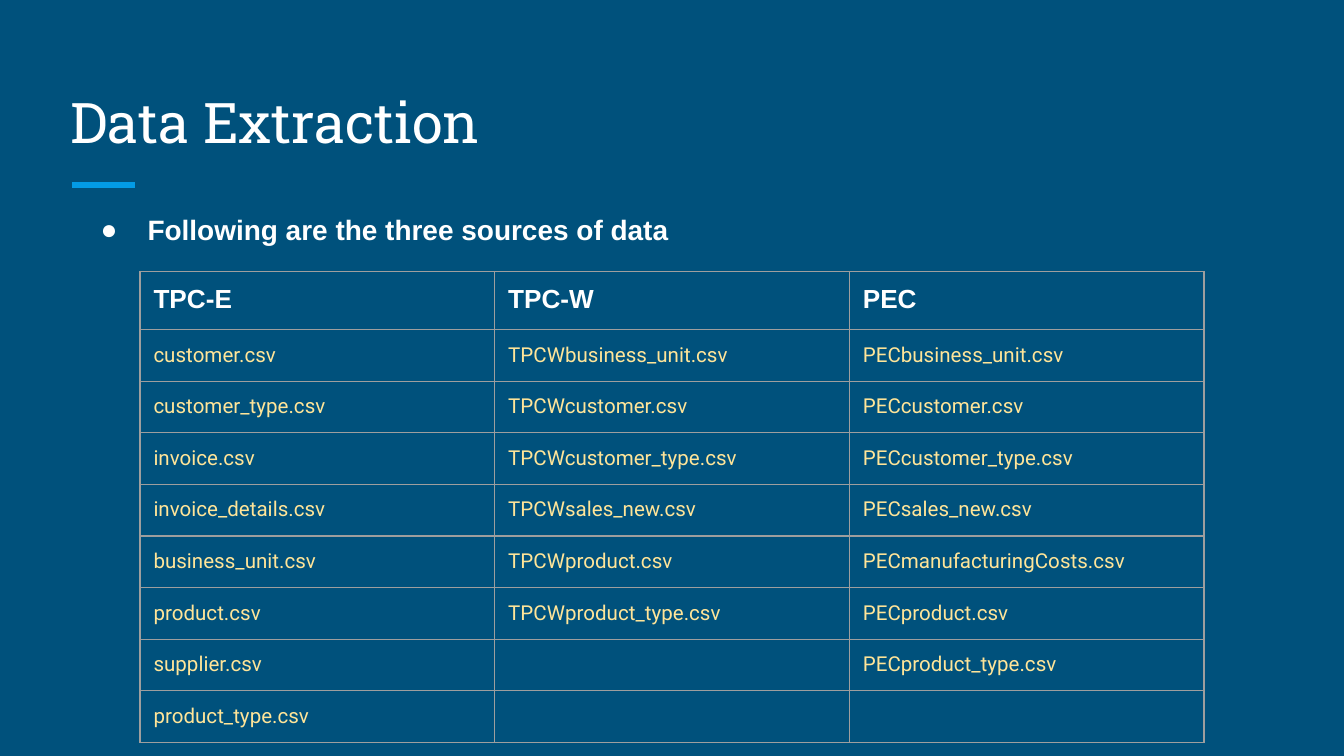
from itertools import zip_longest

from lxml.etree import SubElement
from pptx import Presentation
from pptx.dml.color import RGBColor
from pptx.enum.shapes import MSO_CONNECTOR as Connector
from pptx.enum.text import MSO_ANCHOR as Anchor
from pptx.oxml.ns import qn
from pptx.util import Inches, Pt

WIDTH = Inches(10)
HEIGHT = WIDTH * 9 // 16
NAVY, SKY, WHITE, CREAM, GREY = "00517C", "039BE5", "FFFFFF", "FFE599", "9E9E9E"

SOURCES = {
    "TPC-E": ["customer.csv", "customer_type.csv", "invoice.csv",
              "invoice_details.csv", "business_unit.csv", "product.csv",
              "supplier.csv", "product_type.csv"],
    "TPC-W": ["TPCWbusiness_unit.csv", "TPCWcustomer.csv",
              "TPCWcustomer_type.csv", "TPCWsales_new.csv",
              "TPCWproduct.csv", "TPCWproduct_type.csv"],
    "PEC": ["PECbusiness_unit.csv", "PECcustomer.csv",
            "PECcustomer_type.csv", "PECsales_new.csv",
            "PECmanufacturingCosts.csv", "PECproduct.csv",
            "PECproduct_type.csv"],
}


def across(percent):
    return round(WIDTH * percent / 100)


def down(percent):
    return round(HEIGHT * percent / 100)


def color(hex_code):
    return RGBColor.from_string(hex_code)


def add_run(paragraph, text, size, face, ink, bold=False):
    run = paragraph.add_run()
    run.text = text
    run.font.size = Pt(size)
    run.font.name = face
    run.font.bold = bold
    run.font.color.rgb = color(ink)


def set_margins(holder):
    holder.margin_left = holder.margin_right = Inches(0.1)
    holder.margin_top = holder.margin_bottom = Inches(0.1)


def add_text(slide, left, top, width, height, anchor):
    frame = slide.shapes.add_textbox(
        across(left), down(top), across(width), down(height)).text_frame
    frame.word_wrap = True
    frame.vertical_anchor = anchor
    set_margins(frame)
    return frame.paragraphs[0]


def add_bullet(paragraph, ink):
    props = paragraph._p.get_or_add_pPr()
    props.set("marL", str(Inches(0.5)))
    props.set("indent", str(Inches(-0.35)))
    SubElement(SubElement(props, qn("a:buClr")), qn("a:srgbClr"), val=ink)
    SubElement(props, qn("a:buFont"), typeface="Arial")
    SubElement(props, qn("a:buChar"), char="●")


def add_accent(slide, left, right, top):
    accent = slide.shapes.add_connector(
        Connector.STRAIGHT, across(left), down(top), across(right), down(top))
    accent.line.color.rgb = color(SKY)
    accent.line.width = Pt(3)
    SubElement(accent._element.spPr, qn("a:effectLst"))


def add_borders(cell):
    props = cell._tc.get_or_add_tcPr()
    for side in ("lnL", "lnR", "lnT", "lnB"):
        border = SubElement(props, qn(f"a:{side}"), w=str(Pt(0.75)))
        fill = SubElement(border, qn("a:solidFill"))
        SubElement(fill, qn("a:srgbClr"), val=GREY)


def fill_cell(cell, text, size, face, ink, bold):
    set_margins(cell)
    add_borders(cell)
    cell.fill.background()
    paragraph = cell.text_frame.paragraphs[0]
    if text:
        add_run(paragraph, text, size, face, ink, bold)
    else:
        ending = SubElement(paragraph._p, qn("a:endParaRPr"), sz=str(size * 100))
        SubElement(ending, qn("a:latin"), typeface=face)


def add_sources(slide, left, top, column_width, header_height, row_height):
    rows = [tuple(SOURCES), *zip_longest(*SOURCES.values(), fillvalue="")]
    count = len(SOURCES)
    table = slide.shapes.add_table(
        len(rows), count, across(left), down(top), across(column_width * count),
        down(header_height + row_height * (len(rows) - 1))).table
    table.first_row = table.horz_banding = False
    for column in table.columns:
        column.width = across(column_width)
    for index, names in enumerate(rows):
        header = index == 0
        table.rows[index].height = down(header_height if header else row_height)
        style = (14, "Arial", WHITE, True) if header else (11, "Roboto", CREAM, False)
        for cell, name in zip(table.rows[index].cells, names):
            fill_cell(cell, name, *style)


def main():
    deck = Presentation()
    deck.slide_width, deck.slide_height = WIDTH, HEIGHT
    slide = deck.slides.add_slide(deck.slide_layouts[6])
    slide.background.fill.solid()
    slide.background.fill.fore_color.rgb = color(NAVY)

    add_accent(slide, 5.36, 10.04, 24.5)
    title = add_text(slide, 4.25, 8.9, 91.5, 13.35, Anchor.BOTTOM)
    add_run(title, "Data Extraction", 30, "Roboto Slab", WHITE)
    add_sources(slide, 10.42, 35.9, 26.39, 7.46, 6.7)
    intro = add_text(slide, 5, 26.35, 85.6, 8.7, Anchor.TOP)
    add_bullet(intro, WHITE)
    add_run(intro, "Following are the three sources of data", 15, "Arial", WHITE, True)
    add_run(intro, " ", 14, "Arial", WHITE, True)
    deck.save("out.pptx")


if __name__ == "__main__":
    main()
